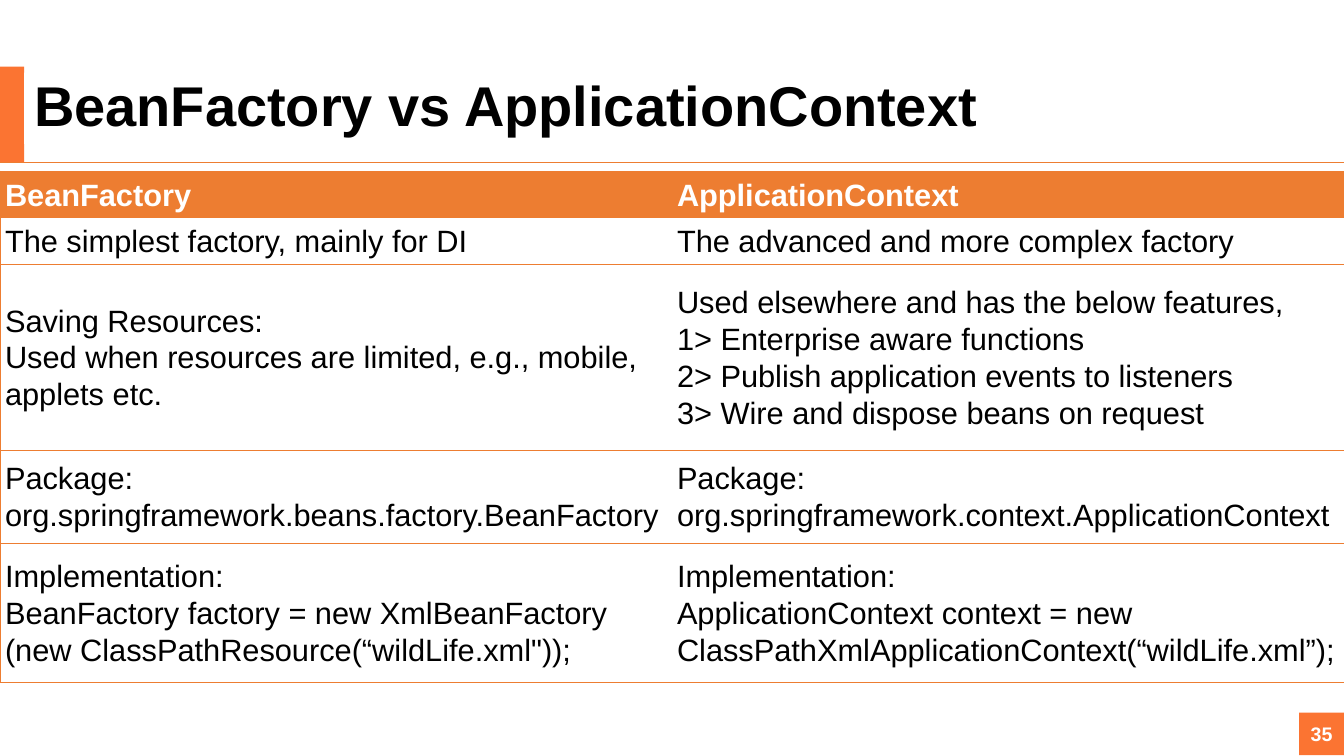
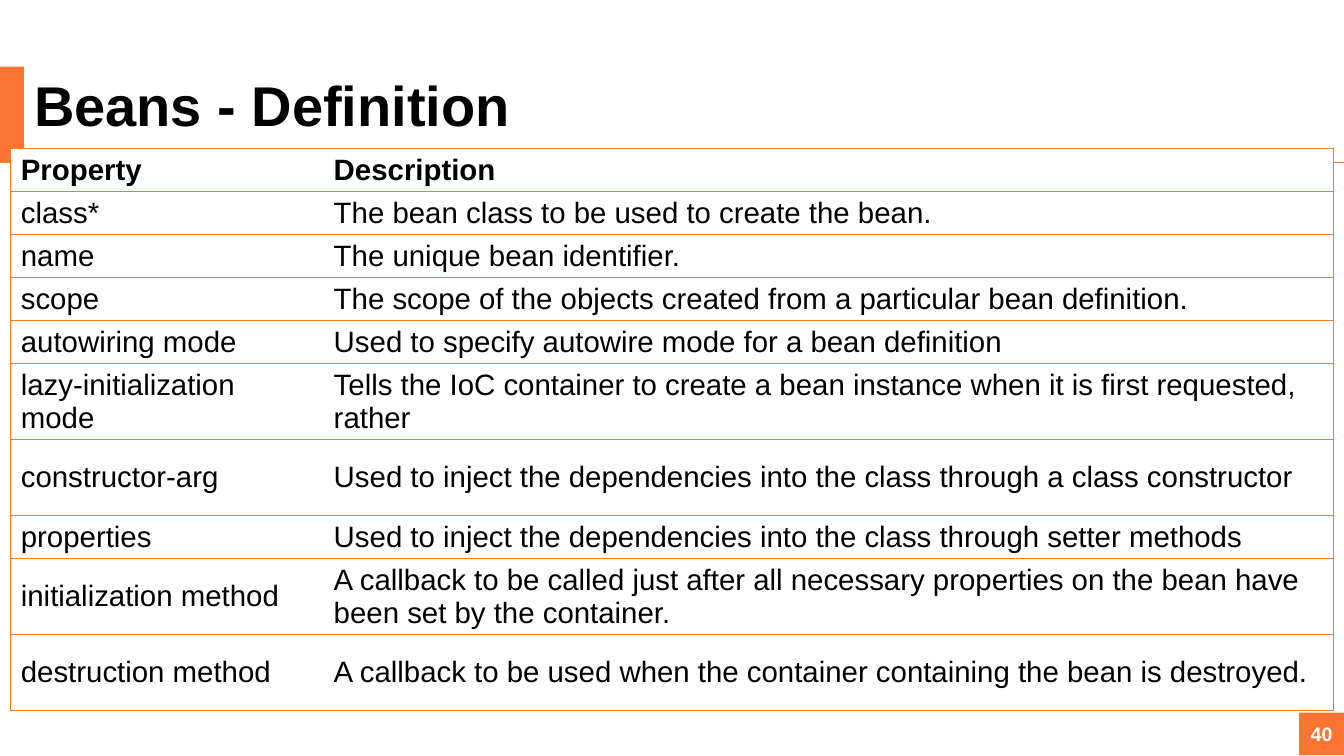
from lxml import etree
from pptx import Presentation
from pptx.dml.color import RGBColor
from pptx.enum.shapes import MSO_CONNECTOR, MSO_SHAPE
from pptx.enum.text import MSO_ANCHOR, MSO_AUTO_SIZE, PP_ALIGN
from pptx.oxml.ns import qn
from pptx.util import Pt

RECTANGLE = MSO_SHAPE.RECTANGLE
STRAIGHT = MSO_CONNECTOR.STRAIGHT
MIDDLE = MSO_ANCHOR.MIDDLE
NO_AUTOFIT = MSO_AUTO_SIZE.NONE
LEFT, CENTER = PP_ALIGN.LEFT, PP_ALIGN.CENTER

SLIDE_WIDTH, SLIDE_HEIGHT = 960, 540
TITLE_ONLY_LAYOUT = 5
PLAIN_TABLE_STYLE = "{2D5ABB26-0587-4C30-8999-92F81FD0307C}"
COLORS = {
    "accent": "FB7432",
    "rule": "ED7D31",
    "text": "000000",
    "white": "FFFFFF",
}

FACTORY_ROWS = [
    ("BeanFactory", "ApplicationContext"),
    ("The simplest factory, mainly for DI",
     "The advanced and more complex factory"),
    ("Saving Resources:\nUsed when resources are limited, e.g., mobile,\napplets etc.",
     "Used elsewhere and has the below features,\n1> Enterprise aware functions\n"
     "2> Publish application events to listeners\n3> Wire and dispose beans on request"),
    ("Package:\norg.springframework.beans.factory.BeanFactory",
     "Package:\norg.springframework.context.ApplicationContext"),
    ("Implementation:\nBeanFactory factory = new XmlBeanFactory\n"
     "(new ClassPathResource(“wildLife.xml\"));",
     "Implementation:\nApplicationContext context = new\n"
     "ClassPathXmlApplicationContext(“wildLife.xml”);"),
]

PROPERTY_ROWS = [
    ("Property", "Description"),
    ("class*", "The bean class to be used to create the bean."),
    ("name", "The unique bean identifier."),
    ("scope", "The scope of the objects created from a particular bean definition."),
    ("autowiring mode", "Used to specify autowire mode for a bean definition"),
    ("lazy-initialization mode",
     "Tells the IoC container to create a bean instance when it is first requested, rather"),
    ("constructor-arg",
     "Used to inject the dependencies into the class through a class constructor"),
    ("properties", "Used to inject the dependencies into the class through setter methods"),
    ("initialization method",
     "A callback to be called just after all necessary properties on the bean have "
     "been set by the container."),
    ("destruction method",
     "A callback to be used when the container containing the bean is destroyed."),
]


class Deck:
    font = "Arial"

    def __init__(self):
        self.presentation = Presentation()
        self.presentation.slide_width = Pt(SLIDE_WIDTH)
        self.presentation.slide_height = Pt(SLIDE_HEIGHT)
        self.layout = self.presentation.slide_layouts[TITLE_ONLY_LAYOUT]
        self.slide = None

    def color(self, name):
        return RGBColor.from_string(COLORS[name])

    def style_text(self, paragraph, size, color, bold=False, align=LEFT, spacing=None):
        paragraph.alignment = align
        paragraph.line_spacing = spacing
        for run in paragraph.runs:
            run.font.name = self.font
            run.font.size = Pt(size)
            run.font.bold = bold
            run.font.color.rgb = self.color(color)

    def add_slide(self, title, number):
        is_first = self.slide is None
        self.slide = self.presentation.slides.add_slide(self.layout)
        if is_first:
            self.decorate_layout()
        self.title(title)
        self.page_badge(number)

    def decorate_layout(self):
        """Put the accent bar and the title rule on the layout, shared by all slides."""
        bar = self.block(0, 47.5, 17.2, 68.3)
        rule = self.rule(115.8)
        for part in (bar, rule):
            self.layout.shapes.element.append(part.element)

    def block(self, left, top, width, height):
        block = self.slide.shapes.add_shape(
            RECTANGLE, Pt(left), Pt(top), Pt(width), Pt(height))
        block.shadow.inherit = False
        block.fill.solid()
        block.fill.fore_color.rgb = self.color("accent")
        block.line.fill.background()
        return block

    def rule(self, top):
        rule = self.slide.shapes.add_connector(
            STRAIGHT, Pt(0), Pt(top), Pt(SLIDE_WIDTH), Pt(top))
        rule.line.color.rgb = self.color("rule")
        rule.line.width = Pt(0.75)
        properties = rule.element.find(qn("p:spPr"))
        etree.SubElement(properties, qn("a:effectLst"))
        return rule

    def title(self, text):
        title = self.slide.shapes.title
        title.left, title.top = Pt(17.2), Pt(51.8)
        title.width, title.height = Pt(879), Pt(51)
        title.fill.solid()
        title.fill.fore_color.rgb = self.color("white")
        frame = title.text_frame
        frame.text = text
        frame.auto_size = NO_AUTOFIT
        frame.vertical_anchor = MIDDLE
        self.style_text(frame.paragraphs[0], 40, "text", bold=True, spacing=0.9)

    def page_badge(self, number):
        badge = self.block(928, 509, 32, 30.5)
        frame = badge.text_frame
        frame.text = str(number)
        frame.word_wrap = False
        frame.vertical_anchor = MIDDLE
        self.style_text(frame.paragraphs[0], 14, "white", bold=True, align=CENTER)

    def table(self, rows, left, top, column_widths, row_heights, size, margins,
              border, header_text="text", header_fill="white", spacing=None):
        holder = self.slide.shapes.add_table(
            len(rows), len(column_widths), Pt(left), Pt(top),
            Pt(sum(column_widths)), Pt(sum(row_heights)))
        table = holder.table
        table.horz_banding = False
        next(holder.element.iter(qn("a:tableStyleId"))).text = PLAIN_TABLE_STYLE
        for column, width in zip(table.columns, column_widths):
            column.width = Pt(width)
        for row, height in zip(table.rows, row_heights):
            row.height = Pt(height)
        last_column = len(column_widths) - 1
        for r, texts in enumerate(rows):
            is_header = r == 0
            for c, text in enumerate(texts):
                cell = table.cell(r, c)
                cell.margin_left = cell.margin_right = Pt(margins[0])
                cell.margin_top = cell.margin_bottom = Pt(margins[1])
                cell.vertical_anchor = MIDDLE
                paragraph = cell.text_frame.paragraphs[0]
                paragraph.text = text
                self.style_text(paragraph, size, header_text if is_header else "text",
                                bold=is_header, spacing=spacing)
                sides = ["L"] * (c == 0) + ["R"] * (c == last_column) + ["T", "B"]
                self.cell_borders(cell, sides, border)
                cell.fill.solid()
                cell.fill.fore_color.rgb = self.color(header_fill if is_header else "white")

    def cell_borders(self, cell, sides, width):
        properties = cell._tc.get_or_add_tcPr()
        for side in sides:
            line = etree.SubElement(properties, qn(f"a:ln{side}"), w=str(Pt(width)))
            fill = etree.SubElement(line, qn("a:solidFill"))
            etree.SubElement(fill, qn("a:srgbClr"), val=COLORS["rule"])


def main():
    deck = Deck()

    deck.add_slide("BeanFactory vs ApplicationContext", 35)
    line_height = 33.2
    deck.table(FACTORY_ROWS, 0, 122.3, [480, 480],
               [line_height * lines for lines in (1, 1, 4, 2, 3)],
               size=22, margins=(3.6, 0), border=0.75,
               header_text="white", header_fill="rule", spacing=1.07)

    deck.add_slide("Beans - Definition", 40)
    single, double = 30.7, 54.3
    deck.table(PROPERTY_ROWS, 7.7, 106.3, [223.5, 721.5],
               [single] * 5 + [double] * 2 + [single] + [double] * 2,
               size=21, margins=(7.2, 3.6), border=1)

    deck.presentation.save("out.pptx")


if __name__ == "__main__":
    main()
